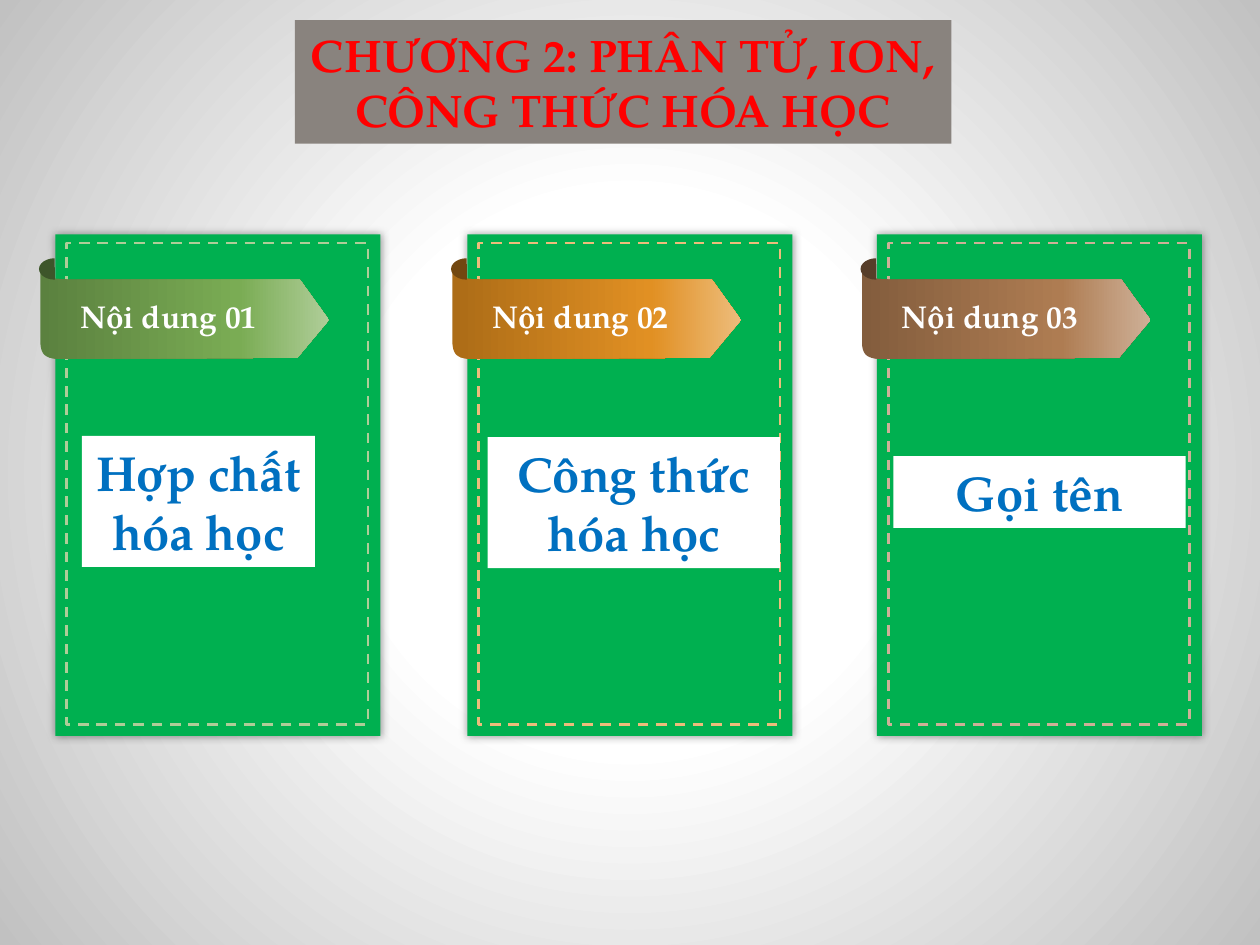
"""Build a chapter overview slide with three ribboned content cards."""
from lxml import etree
from pptx import Presentation, util as u
from pptx.dml.color import RGBColor
from pptx.enum import dml, shapes, text
from pptx.oxml import ns

FONT = "TeX Gyre Pagella"
COLORS = {"title_box": "89837E", "title": "FF0000", "card": "00B050",
          "topic": "0070C0", "white": "FFFFFF", "edge": "C1C1C1"}
TITLE = ["CHƯƠNG 2: PHÂN TỬ, ION,", "CÔNG THỨC HÓA HỌC"]
CARDS = [
    {"left": 0.44, "label": "Nội dung 01", "topic": "Hợp chất hóa học",
     "topic_box": (0.21, 3.46, 1.85, 1.04),
     "ribbon": ("5B813F", "7AAC54", "AFCD98"), "curl": "3D562A"},
    {"left": 3.71, "label": "Nội dung 02", "topic": "Công thức hóa học",
     "topic_box": (0.16, 3.47, 2.32, 1.04),
     "ribbon": ("AC6C17", "E19023", "EDBC7B"), "curl": "724810"},
    {"left": 6.96, "label": "Nội dung 03", "topic": "Gọi tên",
     "topic_box": (0.13, 3.62, 2.32, 0.57),
     "ribbon": ("835D3D", "AE7C52", "CEB097"), "curl": "573E29"},
]
CARD_TOP, CARD_W, CARD_H = 1.86, 2.58, 3.98
RIBBON_SHIFT, RIBBON_TOP = -0.12, 2.11
RIBBON_TIP = [(0.14, 0.74), (2.04, 0.73), (2.29, 0.43), (2.06, 0.11), (0.22, 0.11)]
RIBBON_FOLD = [(0.22, 0.11), (0.14, 0.1), (0.02, 0.12), (0, 0)]
RIBBON_CORNER = [(0, 0.59), (0, 0.72), (0.05, 0.73), (0.14, 0.74)]
STEPS = 12


def rgb(color):
    return RGBColor.from_string(color)


def set_gradient(owner, stops, direction):
    solid = owner.find(ns.qn("a:solidFill"))
    marks = "".join(f'<a:gs pos="{share * 1000}"><a:srgbClr val="{color}"/></a:gs>'
                    for share, color in stops)
    owner.replace(solid, etree.fromstring(
        f'<a:gradFill {ns.nsdecls("a")} rotWithShape="1">'
        f'<a:gsLst>{marks}</a:gsLst>{direction}</a:gradFill>'))


def paint(shape, color):
    shape.shadow.inherit = False
    shape.fill.solid()
    shape.fill.fore_color.rgb = rgb(color)
    shape.line.fill.background()
    return shape


def add_box(parent, kind, box, color):
    return paint(parent.add_shape(kind, *map(u.Inches, box)), color)


def write(shape, lines, size, color, align, wrap):
    frame = shape.text_frame
    frame.text = "\n".join(lines)
    frame.word_wrap = wrap
    frame.auto_size = text.MSO_AUTO_SIZE.SHAPE_TO_FIT_TEXT
    frame.vertical_anchor = text.MSO_ANCHOR.MIDDLE
    for paragraph in frame.paragraphs:
        paragraph.alignment = align
        for run in paragraph.runs:
            run.font.name, run.font.size, run.font.bold = FONT, u.Pt(size), True
            run.font.color.rgb = rgb(color)


def bezier(controls):
    for step in range(1, STEPS + 1):
        t = step / STEPS
        weights = ((1 - t) ** 3, 3 * t * (1 - t) ** 2, 3 * t * t * (1 - t), t ** 3)
        yield tuple(sum(w * point[axis] for w, point in zip(weights, controls))
                    for axis in (0, 1))


def add_card(parent, left):
    group = parent.add_group_shape().shapes
    panel = add_box(group, shapes.MSO_SHAPE.RECTANGLE,
                    (left, CARD_TOP, CARD_W, CARD_H), COLORS["card"])
    effects = panel._element.spPr.find(ns.qn("a:effectLst"))
    effects.append(etree.fromstring(
        f'<a:outerShdw {ns.nsdecls("a")} blurRad="{u.Pt(5)}" dist="0" dir="0">'
        '<a:srgbClr val="000000"><a:alpha val="40000"/></a:srgbClr></a:outerShdw>'))
    return add_box(group, shapes.MSO_SHAPE.RECTANGLE,
                   (left + 0.09, CARD_TOP + 0.07, 2.39, 3.82), COLORS["card"])


def add_ribbon(parent, left, tones, curl_color):
    group = parent.add_group_shape().shapes
    outline = [(u.Inches(left + x), u.Inches(RIBBON_TOP + y)) for x, y in
               [*RIBBON_TIP, *bezier(RIBBON_FOLD), RIBBON_CORNER[0], *bezier(RIBBON_CORNER)]]
    builder = group.build_freeform(*outline[0])
    builder.add_line_segments(outline[1:], close=True)
    ribbon = paint(builder.convert_to_shape(), tones[0])
    set_gradient(ribbon._element.spPr, zip((0, 69, 100), tones),
                 '<a:lin ang="0" scaled="0"/>')
    curl = add_box(group, shapes.MSO_SHAPE.PIE,
                   (left - 0.01, RIBBON_TOP - 0.06, 0.25, 0.17), curl_color)
    curl.adjustments[0], curl.adjustments[1] = 54.3, 162
    curl._element.spPr.xfrm.set("flipV", "1")


def main():
    deck = Presentation()
    deck.slide_width, deck.slide_height = u.Inches(10), u.Inches(7.5)
    slide = deck.slides.add_slide(deck.slide_layouts[6])
    backdrop = slide.background.fill
    backdrop.solid()
    backdrop.fore_color.rgb = rgb(COLORS["white"])
    set_gradient(next(slide._element.iter(ns.qn("p:bgPr"))),
                 [(35, COLORS["white"]), (100, COLORS["edge"])],
                 '<a:path path="circle"><a:fillToRect l="50000" t="50000" '
                 'r="50000" b="50000"/></a:path>')

    center, rectangle = text.PP_ALIGN.CENTER, shapes.MSO_SHAPE.RECTANGLE
    title = add_box(slide.shapes, rectangle, (2.34, 0.16, 5.21, 0.98), COLORS["title_box"])
    write(title, TITLE, 26, COLORS["title"], center, False)

    for card in CARDS:
        left = card["left"]
        border = add_card(slide.shapes, left).line
        border.color.rgb = rgb(card["ribbon"][-1])
        border.width, border.dash_style = u.Pt(1.5), dml.MSO_LINE.DASH
        add_ribbon(slide.shapes, left + RIBBON_SHIFT, card["ribbon"], card["curl"])

        shift, *rest = card["topic_box"]
        topic = add_box(slide.shapes, rectangle, (left + shift, *rest), COLORS["white"])
        write(topic, [card["topic"]], 28, COLORS["topic"], center, True)

        label = slide.shapes.add_textbox(*map(u.Inches, (left + 0.1, 2.31, 1.65, 0.4)))
        write(label, [card["label"]], 18, COLORS["white"], text.PP_ALIGN.LEFT, False)

    deck.save("out.pptx")


if __name__ == "__main__":
    main()
